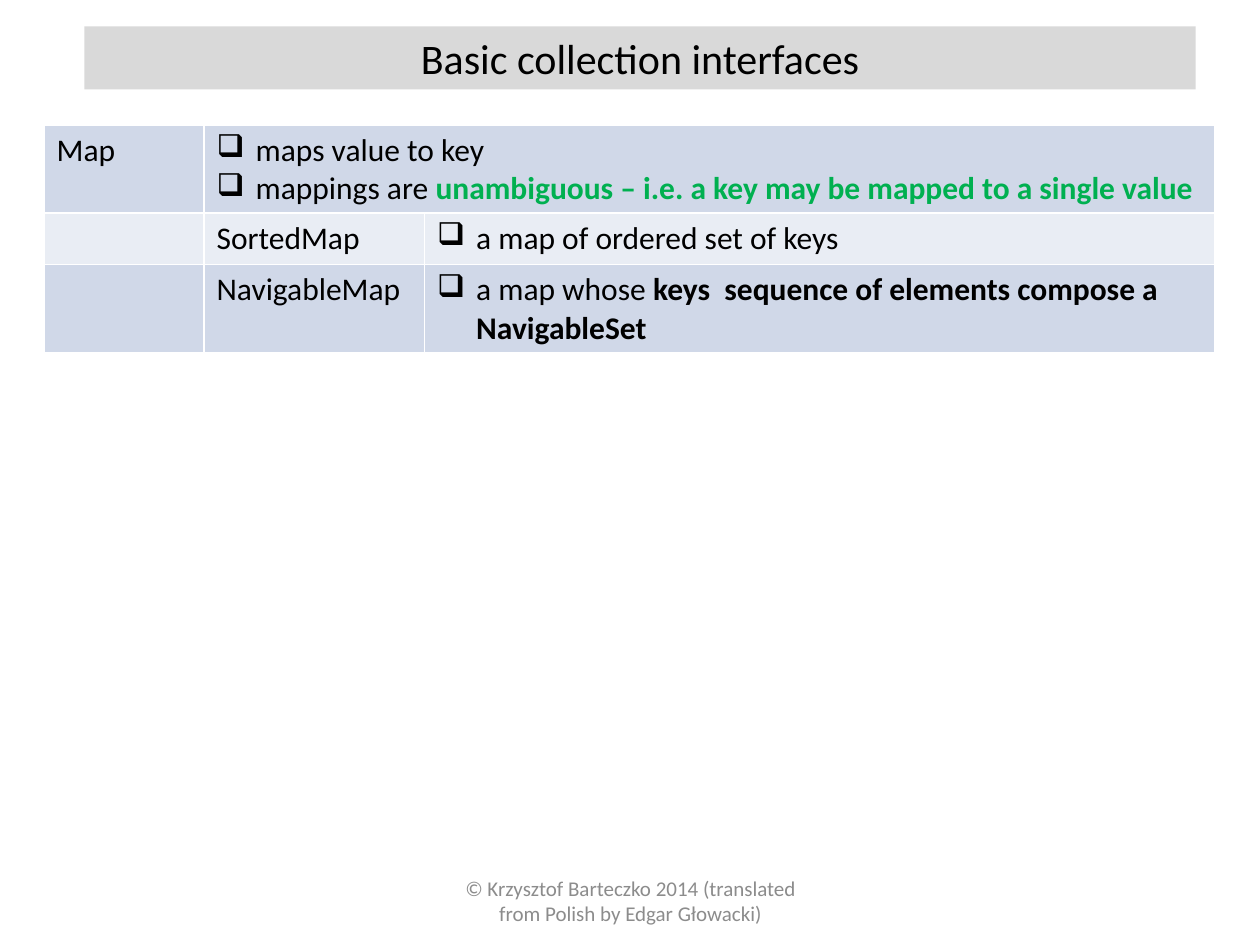
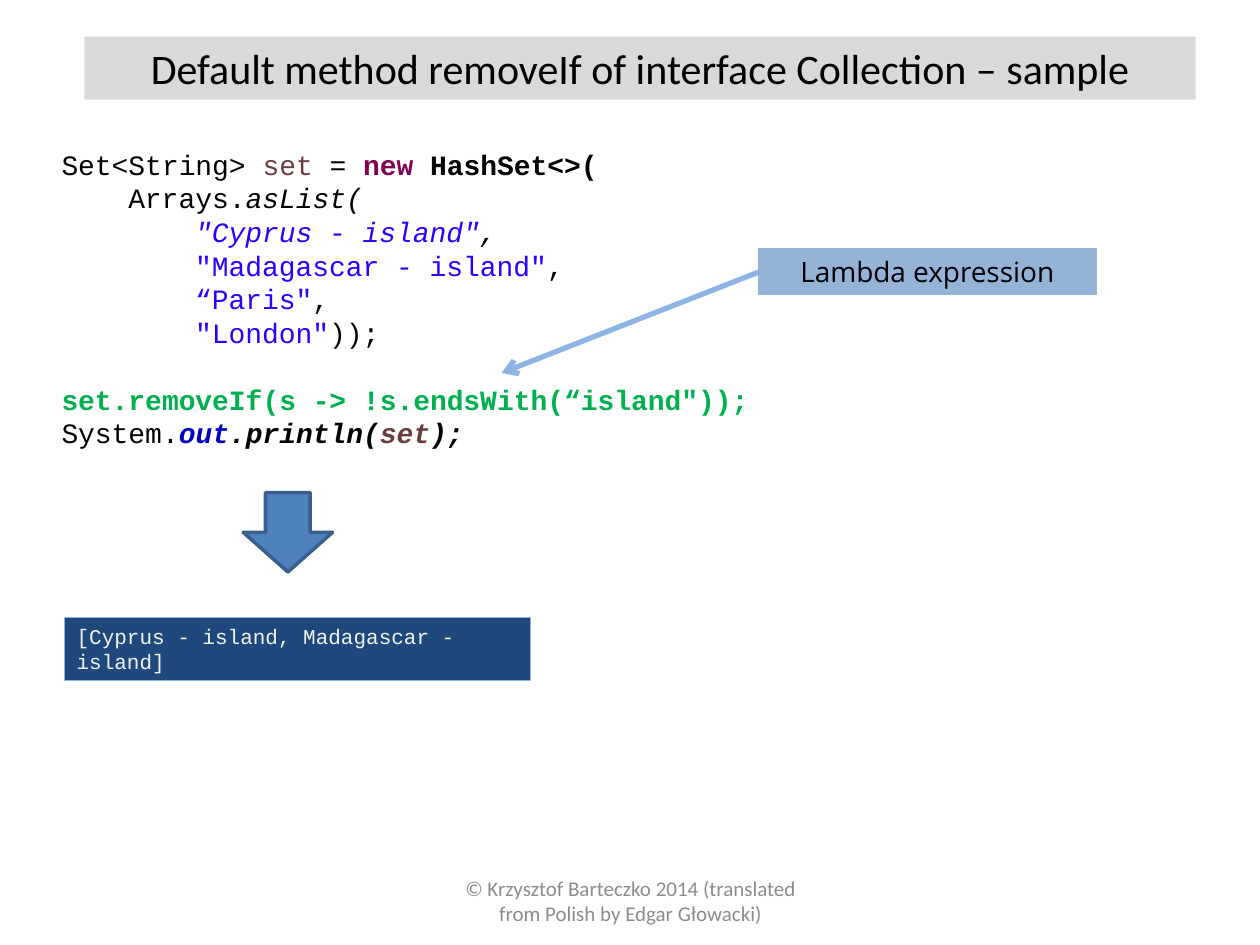
"""Builds two slides on collection interfaces: the Map family and a removeIf sample."""
import pptx
import pptx.dml.color
import pptx.enum.shapes
import pptx.enum.text
import pptx.oxml.ns
import pptx.util
import lxml.etree

Inches = pptx.util.Inches
Pt = pptx.util.Pt
RGBColor = pptx.dml.color.RGBColor
SHAPES = pptx.enum.shapes.MSO_SHAPE
ANCHOR = pptx.enum.text.MSO_ANCHOR
CENTER = pptx.enum.text.PP_ALIGN.CENTER

BLACK = RGBColor(0, 0, 0)
GREEN = RGBColor(0x00, 0xB0, 0x50)
TITLE_BAND = RGBColor(0xD9, 0xD9, 0xD9)
FOOTER_GREY = RGBColor(0x8C, 0x8C, 0x8C)
ROW_DARK = RGBColor(0xD0, 0xD8, 0xE8)
ROW_LIGHT = RGBColor(0xE9, 0xED, 0xF4)
VARIABLE = RGBColor(0x6A, 0x3E, 0x3E)
KEYWORD = RGBColor(0x7F, 0x00, 0x55)
STRING = RGBColor(0x2A, 0x00, 0xFF)
FIELD = RGBColor(0x00, 0x00, 0xC0)
CONSOLE = RGBColor(0x1F, 0x49, 0x7D)
CONSOLE_TEXT = RGBColor(0xF2, 0xF2, 0xF2)
SKY = RGBColor(0x8E, 0xB4, 0xE3)
ARROW_FILL = RGBColor(0x4F, 0x81, 0xBD)
ARROW_EDGE = RGBColor(0x3A, 0x5F, 0x8C)
CALLOUT = RGBColor(0x95, 0xB3, 0xD7)

FOOTER = "© Krzysztof Barteczko 2014 (translated from Polish by Edgar Głowacki)"
CODE_LINE = Pt(19.2)
CODE_INDENT = Inches(0.53)


def write(paragraph, pieces, size, font="Calibri"):
    """Adds runs given as (text, colour, style letters b and i)."""
    for text, color, style in pieces:
        run = paragraph.add_run()
        run.text = text
        run.font.name = font
        run.font.size = Pt(size)
        run.font.color.rgb = color
        run.font.bold = "b" in style
        run.font.italic = "i" in style


def add_block(slide, kind, box, fill, edge, width):
    """Adds a filled, outlined preset shape without a shadow."""
    block = slide.shapes.add_shape(kind, *map(Inches, box))
    block.shadow.inherit = False
    block.fill.solid()
    block.fill.fore_color.rgb = fill
    block.line.color.rgb = edge
    block.line.width = Pt(width)
    block.text_frame.vertical_anchor = ANCHOR.TOP
    return block


deck = pptx.Presentation()
deck.slide_width = Inches(10)
deck.slide_height = Inches(7.5)

slides = []
for heading, top in [
    ("Basic collection interfaces", 0.21),
    ("Default method removeIf of interface Collection – sample", 0.29),
]:
    slide = deck.slides.add_slide(deck.slide_layouts[5])
    title = slide.shapes.title
    title.left, title.top = Inches(0.67), Inches(top)
    title.width, title.height = Inches(8.82), Inches(0.5)
    title.fill.solid()
    title.fill.fore_color.rgb = TITLE_BAND
    title.text_frame.auto_size = pptx.enum.text.MSO_AUTO_SIZE.NONE
    title.text_frame.vertical_anchor = ANCHOR.TOP
    title.text_frame.paragraphs[0].alignment = CENTER
    write(title.text_frame.paragraphs[0], [(heading, BLACK, "")], 24)

    footer = slide.shapes.add_textbox(Inches(3.42), Inches(6.95), Inches(3.17), Inches(0.4))
    footer.text_frame.word_wrap = True
    footer.text_frame.vertical_anchor = ANCHOR.MIDDLE
    footer.text_frame.paragraphs[0].alignment = CENTER
    write(footer.text_frame.paragraphs[0], [(FOOTER, FOOTER_GREY, "")], 12)
    slides.append(slide)

interfaces_slide, sample_slide = slides

interfaces = interfaces_slide.shapes.add_table(
    3, 3, Inches(0.35), Inches(0.99), Inches(9.29), Inches(1.81)
).table
interfaces.first_row = False
interfaces.horz_banding = False
for column, width in zip(interfaces.columns, [1.27, 1.75, 6.27]):
    column.width = Inches(width)
for row, height, shade in zip(interfaces.rows, [0.7, 0.41, 0.7], [ROW_DARK, ROW_LIGHT, ROW_DARK]):
    row.height = Inches(height)
    for cell in row.cells:
        cell.fill.solid()
        cell.fill.fore_color.rgb = shade
interfaces.cell(0, 1).merge(interfaces.cell(0, 2))

for position, name in enumerate(["Map", "SortedMap", "NavigableMap"]):
    name_cell = interfaces.cell(position, min(position, 1))
    write(name_cell.text_frame.paragraphs[0], [(name, BLACK, "")], 18)

descriptions = [
    (0, 1, [
        [("maps value to key", BLACK, "")],
        [("mappings are ", BLACK, ""),
         ("unambiguous – i.e. a key may be mapped to a single value", GREEN, "b")],
    ]),
    (1, 2, [[("a map of ordered set of keys", BLACK, "")]]),
    (2, 2, [
        [("a map whose ", BLACK, ""),
         ("keys  sequence of elements compose a NavigableSet", BLACK, "b")],
    ]),
]
for row, column, points in descriptions:
    frame = interfaces.cell(row, column).text_frame
    for number, pieces in enumerate(points):
        point = frame.add_paragraph() if number else frame.paragraphs[0]
        write(point, pieces, 18)
        properties = point._p.get_or_add_pPr()
        properties.set("marL", str(Inches(0.31)))
        properties.set("indent", str(-Inches(0.31)))
        bullet = lxml.etree.SubElement(properties, pptx.oxml.ns.qn("a:buChar"))
        bullet.set("char", "❑")

code_lines = [
    (0, [("Set<String> ", BLACK, ""), ("set", VARIABLE, ""), (" = ", BLACK, ""),
         ("new ", KEYWORD, "b"), ("HashSet<>(", BLACK, "b")]),
    (1, [("Arrays.", BLACK, ""), ("asList(", BLACK, "i")]),
    (2, [('"Cyprus - island"', STRING, "i"), (",", BLACK, "i")]),
    (2, [('"Madagascar - island"', STRING, ""), (",", BLACK, "")]),
    (2, [('“Paris"', STRING, ""), (",", BLACK, "")]),
    (2, [('"London"', STRING, ""), ("));", BLACK, "")]),
    (0, [('set.removeIf(s -> !s.endsWith(“island"));', GREEN, "b")]),
    (0, [("System.", BLACK, ""), ("out", FIELD, "bi"), (".println(", BLACK, "bi"),
         ("set", VARIABLE, "bi"), (");", BLACK, "bi")]),
]
code = sample_slide.shapes.add_textbox(Inches(0.39), Inches(1.12), Inches(9.37), Inches(2.52))
code.text_frame.word_wrap = True
for number, (depth, pieces) in enumerate(code_lines):
    line = code.text_frame.add_paragraph() if number else code.text_frame.paragraphs[0]
    line.line_spacing = CODE_LINE
    line._p.get_or_add_pPr().set("marL", str(depth * CODE_INDENT))
    write(line, pieces, 16, "Courier New")
code.text_frame.paragraphs[6].space_before = CODE_LINE

output = add_block(sample_slide, SHAPES.RECTANGLE, (0.51, 4.9, 3.7, 0.5), CONSOLE, SKY, 0.75)
result = output.text_frame.paragraphs[0]
result.alignment = pptx.enum.text.PP_ALIGN.LEFT
result.line_spacing = Pt(14.4)
write(result, [("[Cyprus - island, Madagascar - island]", CONSOLE_TEXT, "")], 12, "Courier New")

add_block(sample_slide, SHAPES.DOWN_ARROW, (1.93, 3.91, 0.71, 0.63), ARROW_FILL, ARROW_EDGE, 2)

callout = add_block(sample_slide, SHAPES.RECTANGLE, (6.02, 1.97, 2.68, 0.37), CALLOUT, CALLOUT, 0.75)
callout.text_frame.paragraphs[0].alignment = CENTER
write(callout.text_frame.paragraphs[0], [("Lambda expression", BLACK, "")], 16, "Open Sans")

pointer = sample_slide.shapes.add_connector(
    pptx.enum.shapes.MSO_CONNECTOR.STRAIGHT, Inches(6.02), Inches(2.16), Inches(3.98), Inches(2.96)
)
pointer.line.color.rgb = SKY
pointer.line.width = Pt(3)
arrowhead = lxml.etree.SubElement(pointer.line._get_or_add_ln(), pptx.oxml.ns.qn("a:tailEnd"))
arrowhead.set("type", "arrow")
lxml.etree.SubElement(pointer._element.spPr, pptx.oxml.ns.qn("a:effectLst"))

deck.save("out.pptx")
